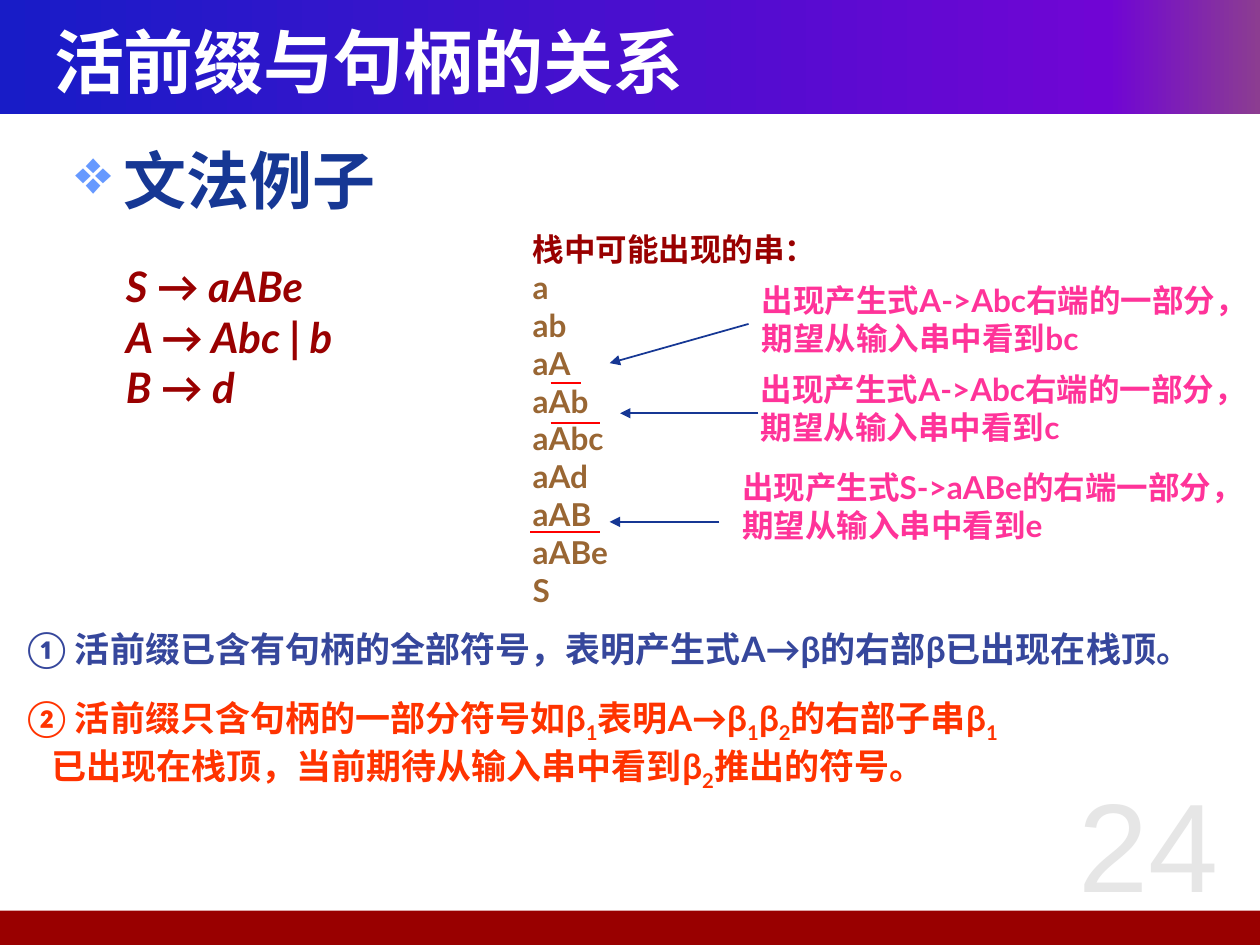
from dataclasses import dataclass

from lxml import etree
from pptx import Presentation
from pptx import util as u
from pptx.dml.color import RGBColor
from pptx.enum import shapes, text
from pptx.oxml.ns import qn


@dataclass(frozen=True)
class Theme:
    heading_font: str = "Noto Sans CJK SC"
    body_font: str = "Lato"
    number_font: str = "Arial"
    white: str = "FFFFFF"
    navy: str = "163794"
    indigo: str = "36479C"
    orange: str = "FF3300"
    maroon: str = "990000"
    brown: str = "996633"
    pink: str = "FF3399"
    red: str = "FF0000"
    bullet: str = "6699FF"
    pale: str = "E6E6E6"
    banner: tuple = ((0, "181CC7"), (88, "7005D4"), (100, "8C3D91"))
    title: int = 40
    heading: int = 36
    number: int = 72
    grammar: int = 24
    note: int = 20
    label: int = 18


T = Theme()

# Paragraphs are strings or lists of runs; a run is a string or (string, style).
# Boxes are left, top, width, height in cm.
TITLE = "活前缀与句柄的关系"
HEADING = "文法例子"
PAGE = "24"
GRAMMAR = ["S → aABe", ["A → Abc ", ("|", "upright"), " b"], "B → d"]
STACK_HEADING = "栈中可能出现的串："
STACK = ["a", "ab", "aA", "aAb", "aAbc", "aAd", "aAB", "aABe", "S"]
CALLOUTS = [
    ((15.11, 5.54, 10.59, 1.78), ["出现产生式A->Abc右端的一部分，", "期望从输入串中看到bc"]),
    ((15.09, 7.34, 10.59, 1.78), ["出现产生式A->Abc右端的一部分，", "期望从输入串中看到c"]),
    ((14.71, 9.32, 11.02, 1.78), ["出现产生式S->aABe的右端一部分，", "期望从输入串中看到e"]),
]
NOTE_FULL = "① 活前缀已含有句柄的全部符号，表明产生式A→β的右部β已出现在栈顶。"
SUB1, SUB2 = ("1", "sub"), ("2", "sub")
NOTE_PART = [
    ["② 活前缀只含句柄的一部分符号如β", SUB1, "表明A→β", SUB1, "β", SUB2, "的右部子串β", SUB1],
    ["已出现在栈顶，当前期待从输入串中看到β", SUB2, "推出的符号。"],
]
ARROWS = [(15.09, 6.53, 12.29, 7.32), (15.29, 8.33, 12.5, 8.33), (14.5, 10.52, 12.29, 10.52)]
UNDERLINES = [(11.1, 7.72, 11.71, 7.72), (11.1, 8.53, 12.09, 8.53), (10.69, 10.72, 12.09, 10.72)]


def cm(values):
    return [u.Cm(v) for v in values]


def add_bar(s, box):
    sp = s.shapes.add_shape(shapes.MSO_SHAPE.RECTANGLE, *cm(box))
    sp.shadow.inherit = False
    sp.line.fill.background()
    return sp


def fill_gradient(sp, stops):
    """Fill left to right with any number of (percent, colour) stops."""
    sp.fill.gradient()
    sp.fill.gradient_angle = 0
    stop_list = sp._element.spPr.find(".//" + qn("a:gsLst"))
    for old in list(stop_list):
        stop_list.remove(old)
    for percent, colour in stops:
        stop = etree.SubElement(stop_list, qn("a:gs"), pos=str(percent * 1000))
        etree.SubElement(stop, qn("a:srgbClr"), val=colour)


def add_text(s, box, paragraphs, size, colour, font=T.body_font, bold=True,
             italic=False, wrap=False):
    tf = s.shapes.add_textbox(*cm(box)).text_frame
    tf.word_wrap = wrap
    for i, runs in enumerate(paragraphs):
        p = tf.paragraphs[0] if i == 0 else tf.add_paragraph()
        for item in [runs] if isinstance(runs, str) else runs:
            content, style = (item, None) if isinstance(item, str) else item
            r = p.add_run()
            r.text = content
            if style == "upright":
                r.font.italic = False
            elif style == "sub":
                r._r.get_or_add_rPr().set("baseline", "-25000")
        f = p.font
        f.size, f.name, f.bold, f.italic = u.Pt(size), font, bold, italic
        f.color.rgb = RGBColor.from_string(colour)
        etree.SubElement(f._element, qn("a:ea"), typeface=font)
    return tf


def add_bullet(p, char, colour, indent):
    pPr = p._p.get_or_add_pPr()
    pPr.set("marL", str(u.Cm(indent)))
    pPr.set("indent", str(-u.Cm(indent)))
    bu_colour = etree.Element(qn("a:buClr"))
    etree.SubElement(bu_colour, qn("a:srgbClr"), val=colour)
    bu_char = etree.Element(qn("a:buChar"), char=char)
    pPr.insert(0, bu_colour)
    pPr.insert(1, bu_char)


def add_line(s, ends, colour, arrow=False):
    line = s.shapes.add_connector(shapes.MSO_CONNECTOR.STRAIGHT, *cm(ends))
    line.line.width = u.Pt(1)
    line.line.color.rgb = RGBColor.from_string(colour)
    if arrow:
        etree.SubElement(line.line._get_or_add_ln(), qn("a:tailEnd"), type="triangle")
    etree.SubElement(line._element.spPr, qn("a:effectLst"))


def main():
    prs = Presentation()
    prs.slide_width, prs.slide_height = u.Cm(25.4), u.Cm(19.05)
    s = prs.slides.add_slide(prs.slide_layouts[6])

    fill_gradient(add_bar(s, (0, 0, 25.4, 2.31)), T.banner)
    footer = add_bar(s, (-0.1, 18.36, 25.5, 0.69))
    footer.fill.solid()
    footer.fill.fore_color.rgb = RGBColor.from_string(T.maroon)

    tf = add_text(s, (0.84, 0.43, 23.5, 1.57), [TITLE], T.title, T.white,
                  T.heading_font, wrap=True)
    tf.vertical_anchor = text.MSO_ANCHOR.MIDDLE
    tf = add_text(s, (1.27, 2.72, 22.86, 2), [HEADING], T.heading, T.navy,
                  T.heading_font, wrap=True)
    add_bullet(tf.paragraphs[0], "❖", T.bullet, 0.97)
    tf = add_text(s, (20.9, 15.32, 4.5, 3.61), [PAGE], T.number, T.pale,
                  T.number_font, bold=False, wrap=True)
    tf.paragraphs[0].alignment = text.PP_ALIGN.CENTER

    add_text(s, (2.29, 5.13, 5.59, 3.33), GRAMMAR, T.grammar, T.maroon, italic=True)
    tf = add_text(s, (10.49, 4.52, 7.21, 7.87), [STACK_HEADING, *STACK], T.label,
                  T.brown, wrap=True)
    tf.paragraphs[0].font.color.rgb = RGBColor.from_string(T.maroon)
    for box, lines in CALLOUTS:
        add_text(s, box, lines, T.label, T.pink)

    add_text(s, (0.3, 12.52, 24.64, 1.09), [NOTE_FULL], T.note, T.indigo)
    tf = add_text(s, (0.3, 13.92, 21.21, 1.96), NOTE_PART, T.note, T.orange)
    tf.paragraphs[1]._p.get_or_add_pPr().set("marL", str(u.Cm(0.48)))

    for ends in ARROWS:
        add_line(s, ends, T.navy, arrow=True)
    for ends in UNDERLINES:
        add_line(s, ends, T.red)

    prs.save("out.pptx")


if __name__ == "__main__":
    main()
